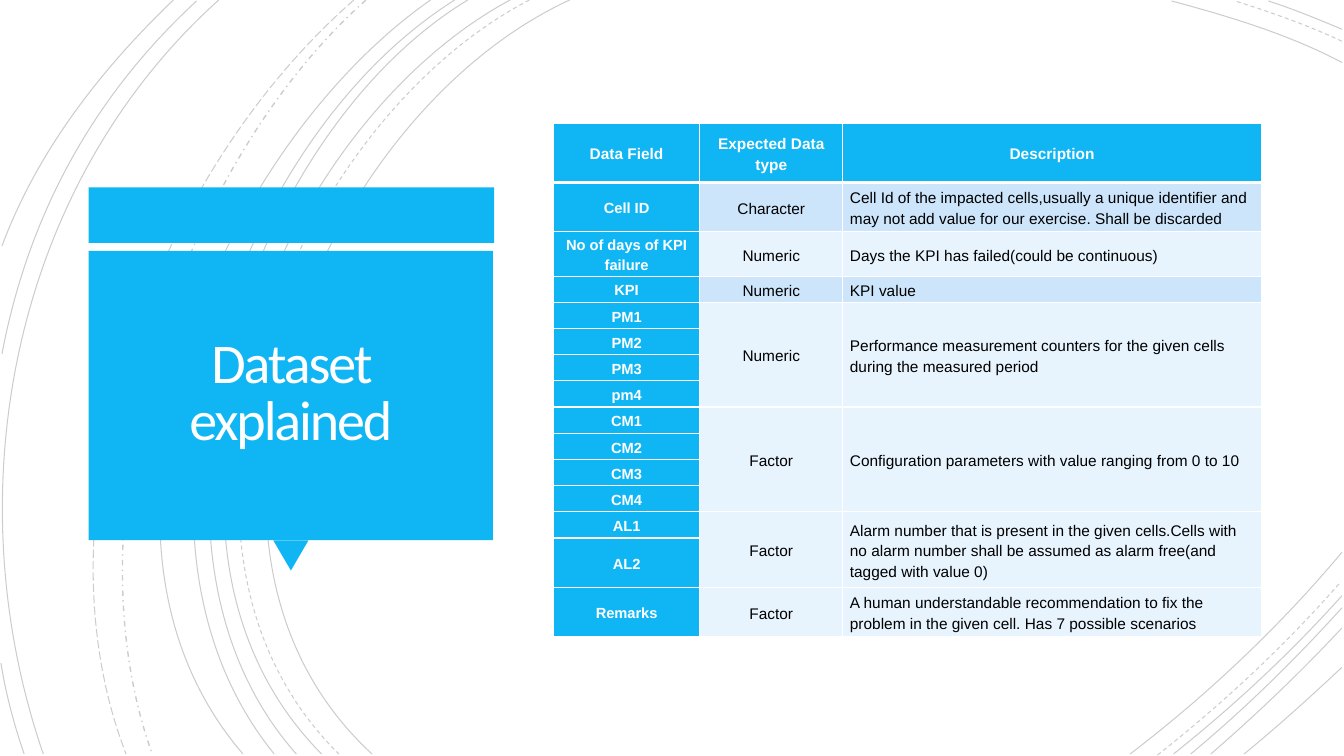
import pptx
import pptx.util
import pptx.dml.color
import pptx.enum.dml
import pptx.enum.shapes
import pptx.enum.text
import pptx.oxml
import pptx.oxml.ns
import lxml.etree

Inches = pptx.util.Inches
Pt = pptx.util.Pt
qn = pptx.oxml.ns.qn
DASH = pptx.enum.dml.MSO_LINE
SHAPE = pptx.enum.shapes.MSO_SHAPE
ALIGN = pptx.enum.text.PP_ALIGN
MIDDLE = pptx.enum.text.MSO_ANCHOR.MIDDLE

BLUE, PALE, PALER, WHITE, BLACK = "10B6F4", "CCE5FB", "E7F3FD", "FFFFFF", "000000"

SOLID_ARCS = [
    [(5.65, 0), (3.15, 1.15), (1.43, 5.4), (3.69, 7.48)],
    [(13.31, 0.62), (12.78, 0.34), (12.18, 0.16), (11.62, 0.01)],
    [(11.21, 7.48), (11.97, 6.9), (12.69, 6.22), (13.31, 5.48)],
    [(5.06, 0), (2.7, 1.27), (1.1, 5.37), (3.19, 7.48)],
    [(13.31, 0.29), (13.07, 0.19), (12.83, 0.09), (12.58, 0.01)],
    [(11.64, 7.48), (12.23, 7.01), (12.8, 6.48), (13.31, 5.91)],
    [(4.64, 0), (2.44, 1.33), (1.1, 5.41), (2.94, 7.48)],
    [(11.81, 7.48), (12.34, 7.04), (12.84, 6.55), (13.31, 6.03)],
    [(4.51, 0), (2.31, 1.38), (0.97, 5.33), (2.72, 7.48)],
    [(12.01, 7.48), (12.46, 7.09), (12.9, 6.67), (13.31, 6.23)],
    [(4.27, 0), (2.17, 1.47), (0.53, 5.29), (2.41, 7.48)],
    [(12.34, 7.48), (12.67, 7.21), (12.99, 6.92), (13.31, 6.62)],
    [(2.17, 0), (0.11, 1.85), (-0.46, 4.9), (0.43, 7.48)],
    [(1.95, 0.01), (0.92, 0.96), (0.28, 2.14), (0.02, 3.51)],
    [(0.01, 6.58), (0.06, 6.89), (0.14, 7.19), (0.24, 7.48)],
    [(1.72, 0), (1, 0.69), (0.37, 1.5), (0.02, 2.44)],
]
DASHED_ARCS = [
    [(5.25, 0), (2.85, 1.25), (1.23, 5.37), (3.36, 7.48)],
    [(13.31, 0.41), (12.97, 0.25), (12.6, 0.12), (12.25, 0.01)],
    [(11.48, 7.49), (12.13, 6.98), (12.75, 6.4), (13.3, 5.77)],
]
DASH_DOT_ARC = [(3.63, 0), (1.76, 1.66), (0.65, 5.09), (1.51, 7.48)]
LONG_DASH_ARC = [(3.51, 0), (1.57, 1.69), (0.29, 4.99), (1.25, 7.48)]

HEADINGS = ["Data Field", "Expected Data type", "Description"]
FIELD_GROUPS = [
    (["Cell ID"], "Character", "Cell Id of the impacted cells,usually a unique identifier "
     "and may not add value for our exercise. Shall be discarded", PALE),
    (["No of days of KPI failure"], "Numeric",
     "Days the KPI has failed(could be continuous)", PALER),
    (["KPI"], "Numeric", "KPI value", PALE),
    (["PM1", "PM2", "PM3", "pm4"], "Numeric", "Performance measurement counters "
     "for the given cells during the measured period", PALER),
    (["CM1", "CM2", "CM3", "CM4"], "Factor",
     "Configuration parameters with value ranging from 0 to 10", PALER),
    (["AL1", "AL2"], "Factor", "Alarm number that is present in the given cells.Cells with "
     "no alarm number shall be assumed as alarm free(and tagged with value 0)", PALER),
    (["Remarks"], "Factor", "A human understandable recommendation to fix the problem "
     "in the given cell. Has 7 possible scenarios", PALER),
]
COLUMN_WIDTHS = [1.45, 1.42, 4.15]
ROW_HEIGHTS = [0.59, 0.49, 0.44] + [0.26] * 10 + [0.49] * 2


def color(value):
    return pptx.dml.color.RGBColor.from_string(value)


def add_arc(page, controls, dash=DASH.SOLID, width=0.75):
    points = [(Inches(x), Inches(y)) for x, y in controls]
    builder = page.shapes.build_freeform(*points[0])
    builder.add_line_segments(points[1:], close=False)
    arc = builder.convert_to_shape()
    outline = arc.element.find(".//" + qn("a:path"))
    curve = lxml.etree.SubElement(outline, qn("a:cubicBezTo"))
    for segment in outline.findall(qn("a:lnTo")):
        curve.append(segment[0])
        outline.remove(segment)
    arc.shadow.inherit = False
    arc.fill.background()
    arc.line.color.rgb = color(BLACK)
    arc.line.width = Pt(width)
    arc.line.dash_style = dash
    ink = arc.element.spPr.find(qn("a:ln")).find(".//" + qn("a:srgbClr"))
    lxml.etree.SubElement(ink, qn("a:alpha"), val="20000")


def add_block(page, kind, left, top, width, height, rotation=0):
    block = page.shapes.add_shape(
        kind, Inches(left), Inches(top), Inches(width), Inches(height))
    block.rotation = rotation
    block.shadow.inherit = False
    block.fill.solid()
    block.fill.fore_color.rgb = color(BLUE)
    block.line.fill.background()


def format_text(frame, font, size, ink, bold, align, spacing):
    para = frame.paragraphs[0]
    para.alignment = align
    para.line_spacing = spacing
    for span in para.runs:
        span.font.name = font
        span.font.size = Pt(size)
        span.font.bold = bold
        span.font.color.rgb = color(ink)


def place_title(page, text):
    title = page.shapes.title
    title.left, title.top = Inches(0.97), Inches(2.57)
    title.width, title.height = Inches(3.83), Inches(2.69)
    frame = title.text_frame
    frame.text = text
    frame.word_wrap = True
    frame.auto_size = pptx.enum.text.MSO_AUTO_SIZE.NONE
    frame.vertical_anchor = MIDDLE
    frame.margin_left = frame.margin_right = Inches(0.25)
    frame.margin_top = frame.margin_bottom = Inches(0.25)
    format_text(frame, "Calibri", 40, "FFFEFF", False, ALIGN.CENTER, 0.85)
    frame.paragraphs[0].runs[0].font._element.set("spc", "-150")
    title.element.getparent().append(title.element)


def set_borders(cell, top, bottom):
    properties = cell._tc.get_or_add_tcPr()
    for side, width in (("L", 1), ("R", 1), ("T", top), ("B", bottom)):
        properties.append(pptx.oxml.parse_xml(
            f'<a:ln{side} {pptx.oxml.ns.nsdecls("a")} w="{Pt(width)}"><a:solidFill>'
            f'<a:srgbClr val="{WHITE}"/></a:solidFill></a:ln{side}>'))


def fill_cell(cell, text, fill, size=11, ink=BLACK, bold=False, align=ALIGN.CENTER):
    cell.text_frame.text = text
    cell.vertical_anchor = MIDDLE
    cell.margin_left = cell.margin_right = Inches(0.07)
    cell.margin_top = cell.margin_bottom = 0
    format_text(cell.text_frame, "Arial", size, ink, bold, align, 1.2)
    cell.text_frame.paragraphs[0].space_before = Pt(10)
    cell.fill.solid()
    cell.fill.fore_color.rgb = color(fill)


def add_field_table(page):
    table = page.shapes.add_table(
        len(ROW_HEIGHTS), len(COLUMN_WIDTHS), Inches(5.49), Inches(1.22),
        Inches(sum(COLUMN_WIDTHS)), Inches(sum(ROW_HEIGHTS))).table
    table.first_row = table.horz_banding = False
    for column, width in zip(table.columns, COLUMN_WIDTHS):
        column.width = Inches(width)
    for index, (row, height) in enumerate(zip(table.rows, ROW_HEIGHTS)):
        row.height = Inches(height)
        for cell in row.cells:
            set_borders(cell, 3 if index == 1 else 1, 3 if index == 0 else 1)
    for index, heading in enumerate(HEADINGS):
        fill_cell(table.cell(0, index), heading, BLUE, ink=WHITE, bold=True)
    first = 1
    for fields, data_type, description, fill in FIELD_GROUPS:
        last = first + len(fields) - 1
        for index, field in enumerate(fields, first):
            fill_cell(table.cell(index, 0), field, BLUE, 10.5, WHITE, True)
        for index, text, align in ((1, data_type, ALIGN.CENTER), (2, description, ALIGN.LEFT)):
            if last > first:
                table.cell(first, index).merge(table.cell(last, index))
            fill_cell(table.cell(first, index), text, fill, align=align)
        first = last + 1


def main():
    deck = pptx.Presentation()
    deck.slide_width, deck.slide_height = Inches(13.33), Inches(7.5)
    page = deck.slides.add_slide(deck.slide_layouts[5])
    for controls in SOLID_ARCS:
        add_arc(page, controls)
    for controls in DASHED_ARCS:
        add_arc(page, controls, DASH.DASH)
    add_arc(page, DASH_DOT_ARC, DASH.DASH_DOT, 1)
    add_arc(page, LONG_DASH_ARC, DASH.LONG_DASH)
    add_block(page, SHAPE.RECTANGLE, 0.88, 1.86, 4.02, 0.55)
    add_block(page, SHAPE.ISOSCELES_TRIANGLE, 2.71, 5.36, 0.35, 0.3, 180)
    add_block(page, SHAPE.RECTANGLE, 0.88, 2.49, 4.01, 2.87)
    place_title(page, "Dataset explained")
    add_field_table(page)
    deck.save("out.pptx")


main()
